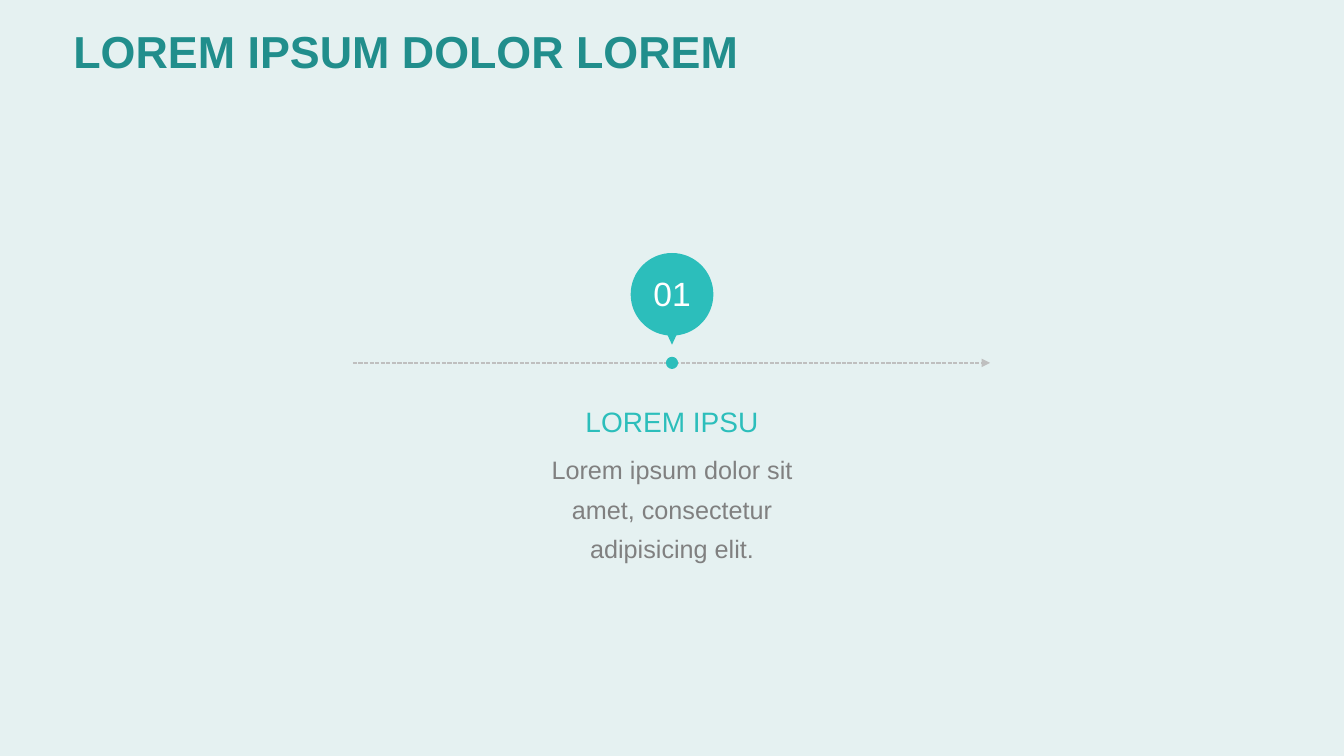
import math

import pptx
import pptx.util
import pptx.dml.color
import pptx.enum.dml
import pptx.enum.shapes
import pptx.enum.text
import pptx.oxml
import pptx.oxml.ns

Inches = pptx.util.Inches
Pt = pptx.util.Pt
ANCHOR = pptx.enum.text.MSO_ANCHOR
ALIGN = pptx.enum.text.PP_ALIGN

COLORS = {
    "background": "E5F1F1",
    "title": "218E8C",
    "accent": "2CBEBB",
    "body": "808080",
    "axis": "BFBFBF",
    "number": "FFFFFF",
}
FONT = "Arial"
TITLE = "LOREM IPSUM DOLOR LOREM"
STEP = {
    "number": "01",
    "heading": "LOREM IPSU",
    "body": "Lorem ipsum dolor sit amet, consectetur adipisicing elit.",
}

SLIDE_W, SLIDE_H = 13.33, 7.5
CENTER_X = SLIDE_W / 2
AXIS_Y, AXIS_START, AXIS_END = 3.6, 3.5, 9.82
BUBBLE_Y, BUBBLE_R = 2.92, 0.41
POINTER_HALF_ANGLE, POINTER_TIP_Y = 6, 3.42
DOT_R = 0.06
CAPTION_W = 2.78


def rgb(name):
    return pptx.dml.color.RGBColor.from_string(COLORS[name])


def paint(sp, color):
    sp.shadow.inherit = False
    sp.fill.solid()
    sp.fill.fore_color.rgb = rgb(color)
    sp.line.fill.background()


def write(tf, text, size, color, align, anchor, spacing=1.0, bold=False):
    tf.word_wrap = True
    tf.vertical_anchor = anchor
    p = tf.paragraphs[0]
    p.alignment = align
    p.line_spacing = spacing
    r = p.add_run()
    r.text = text
    r.font.name = FONT
    r.font.size = Pt(size)
    r.font.bold = bold
    r.font.color.rgb = rgb(color)


def set_insets(tf, bottom=0):
    tf.margin_left = tf.margin_top = tf.margin_right = 0
    tf.margin_bottom = Inches(bottom)


def add_text_box(slide, left, top, width, height):
    box = slide.shapes.add_textbox(
        Inches(left), Inches(top), Inches(width), Inches(height))
    return box.text_frame


def add_background(slide):
    sp = slide.shapes.add_shape(
        pptx.enum.shapes.MSO_SHAPE.RECTANGLE, 0, 0, Inches(SLIDE_W), Inches(SLIDE_H))
    paint(sp, "background")


def add_axis(slide):
    line = slide.shapes.add_connector(
        pptx.enum.shapes.MSO_CONNECTOR.STRAIGHT,
        Inches(AXIS_START), Inches(AXIS_Y), Inches(AXIS_END), Inches(AXIS_Y))
    line.line.color.rgb = rgb("axis")
    line.line.width = Pt(1)
    line.line.dash_style = pptx.enum.dml.MSO_LINE.SQUARE_DOT
    ns = pptx.oxml.ns.nsdecls("a")
    ln = line.line._get_or_add_ln()
    ln.append(pptx.oxml.parse_xml(f'<a:tailEnd {ns} type="triangle"/>'))
    line._element.spPr.append(pptx.oxml.parse_xml(f"<a:effectLst {ns}/>"))


def curve_points(cy, radius, degrees):
    """Start point, then two handles and an end point for each arc between angles."""
    def at(angle, handle=0):
        c, s = math.cos(angle), math.sin(angle)
        x = CENTER_X + radius * (c - handle * s)
        y = cy + radius * (s + handle * c)
        return Inches(x), Inches(y)

    angles = [math.radians(d) for d in degrees]
    points = [at(angles[0])]
    for a, b in zip(angles, angles[1:]):
        h = 4 / 3 * math.tan((b - a) / 4)
        points += [at(a, h), at(b, -h), at(b)]
    return points


def bend(sp):
    """Turn each full group of three straight segments into one curve."""
    qn = pptx.oxml.ns.qn
    ns = pptx.oxml.ns.nsdecls("a")
    group = []
    for el in list(sp._element.iter(qn("a:moveTo"), qn("a:lnTo"))):
        group = group + [el] if el.tag == qn("a:lnTo") else []
        if len(group) == 3:
            curve = pptx.oxml.parse_xml(f"<a:cubicBezTo {ns}/>")
            group[0].addprevious(curve)
            for segment in group:
                curve.append(segment[0])
                segment.getparent().remove(segment)
            group = []


def add_marker(slide):
    """Numbered bubble with its pointer, and the dot on the axis, as one outline."""
    g = POINTER_HALF_ANGLE
    bubble = curve_points(BUBBLE_Y, BUBBLE_R, [90 + g, 180, 270, 360, 450 - g])
    bubble.append((Inches(CENTER_X), Inches(POINTER_TIP_Y)))
    dot = curve_points(AXIS_Y, DOT_R, [0, 90, 180, 270, 360])

    fb = slide.shapes.build_freeform(*bubble[0])
    fb.add_line_segments(bubble[1:], close=True)
    fb.move_to(*dot[0])
    fb.add_line_segments(dot[1:], close=True)
    sp = fb.convert_to_shape()
    bend(sp)
    paint(sp, "accent")
    set_insets(sp.text_frame, bottom=0.35)
    write(sp.text_frame, STEP["number"], 24, "number", ALIGN.CENTER, ANCHOR.MIDDLE)


def add_caption(slide):
    left = CENTER_X - CAPTION_W / 2
    rows = [
        ("heading", 3.84, 0.58, 20, "accent", ANCHOR.MIDDLE),
        ("body", 4.42, 2.22, 18, "body", ANCHOR.TOP),
    ]
    for key, top, height, size, color, anchor in rows:
        tf = add_text_box(slide, left, top, CAPTION_W, height)
        set_insets(tf)
        write(tf, STEP[key], size, color, ALIGN.CENTER, anchor, spacing=1.3)


def main():
    prs = pptx.Presentation()
    prs.slide_width, prs.slide_height = Inches(SLIDE_W), Inches(SLIDE_H)
    slide = prs.slides.add_slide(prs.slide_layouts[6])

    add_background(slide)
    add_axis(slide)
    add_marker(slide)
    add_caption(slide)
    write(add_text_box(slide, 0.63, 0.19, 11.96, 0.7), TITLE, 32, "title",
          ALIGN.LEFT, ANCHOR.MIDDLE, spacing=0.9, bold=True)
    prs.save("out.pptx")


if __name__ == "__main__":
    main()
